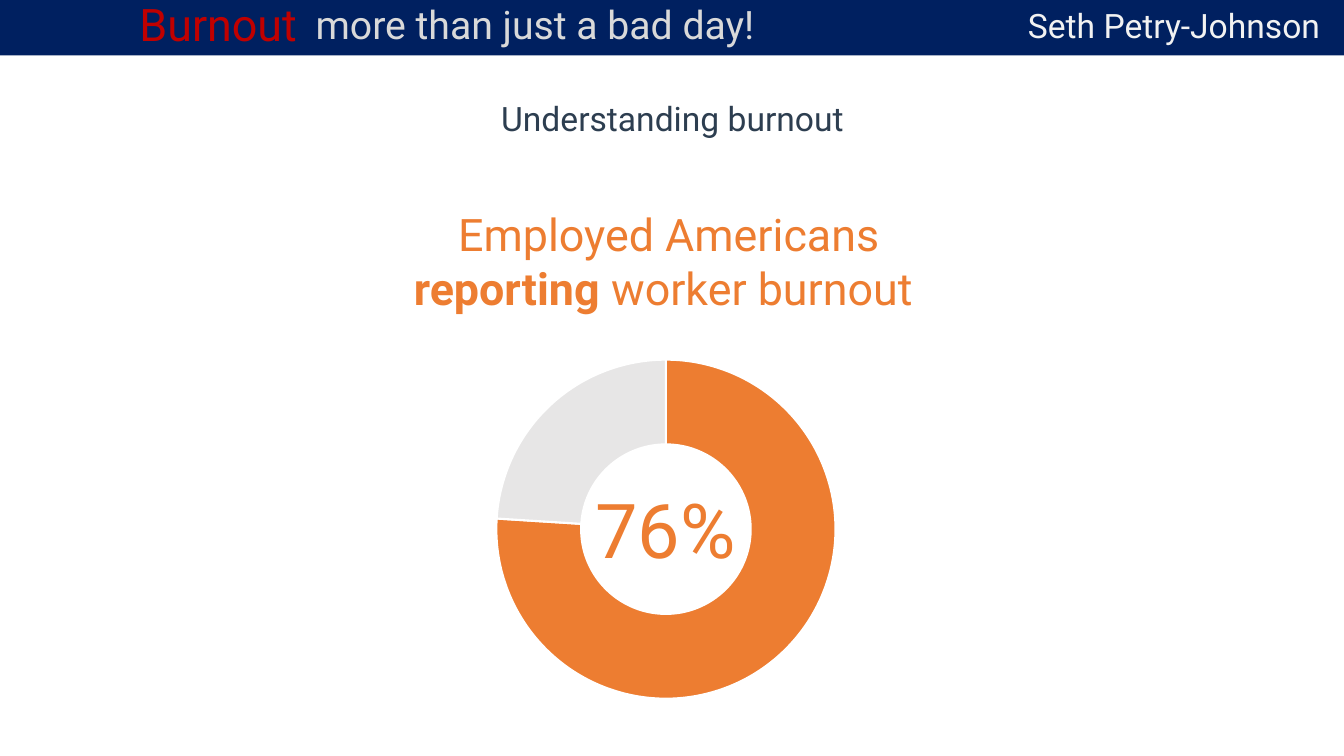
from dataclasses import dataclass

from pptx import Presentation
from pptx import util as u
from pptx.chart.data import CategoryChartData
from pptx.dml.color import RGBColor
from pptx.enum import chart as charts, shapes, text


@dataclass(frozen=True)
class Theme:
    font: str = "Roboto"
    chart_font: str = "Calibri"
    navy: str = "002060"
    slate: str = "2D3E50"
    orange: str = "ED7D31"
    red: str = "C00000"
    light_gray: str = "D9D9D9"
    off_white: str = "F2F2F2"
    remainder: str = "E7E6E6"
    white: str = "FFFFFF"
    black: str = "000000"
    chart_size: int = 10
    label: int = 24
    subtitle: int = 28
    heading: int = 32
    figure: int = 54


def paint(fill, color):
    fill.solid()
    fill.fore_color.rgb = RGBColor.from_string(color)


def style_font(font, name, size, color, bold=False):
    font.name = name
    font.size = u.Pt(size)
    font.bold = bold
    font.color.rgb = RGBColor.from_string(color)


class SlideBuilder:
    def __init__(self, slide, theme):
        self.slide = slide
        self.theme = theme

    def bar(self, box, color):
        bar = self.slide.shapes.add_shape(
            shapes.MSO_SHAPE.RECTANGLE, *map(u.Inches, box))
        bar.shadow.inherit = False
        paint(bar.fill, color)
        bar.line.fill.background()

    def text(self, lines, box, size, color):
        """Centre lines, each a string or a list of (string, bold) runs."""
        frame = self.slide.shapes.add_textbox(*map(u.Inches, box)).text_frame
        frame.word_wrap = True
        frame.auto_size = text.MSO_AUTO_SIZE.SHAPE_TO_FIT_TEXT
        paragraph = frame.paragraphs[0]
        paragraph.alignment = text.PP_ALIGN.CENTER
        for index, line in enumerate(lines):
            if index:
                paragraph.add_line_break()
            for words, bold in [(line, False)] if isinstance(line, str) else line:
                run = paragraph.add_run()
                run.text = words
                style_font(run.font, self.theme.font, size, color, bold)

    def doughnut(self, shares, box, colors, hole):
        data = CategoryChartData()
        data.categories = [str(n + 1) for n in range(len(shares))]
        data.add_series("Series 1", shares)
        chart = self.slide.shapes.add_chart(
            charts.XL_CHART_TYPE.DOUGHNUT, *map(u.Inches, box), data).chart
        chart.has_legend = False
        chart.has_title = False
        style_font(chart.font, self.theme.chart_font,
                   self.theme.chart_size, self.theme.black)
        plot = chart.plots[0]
        plot.vary_by_categories = True
        plot.has_data_labels = False
        for index, color in enumerate(colors):
            slice_format = plot.series[0].points[index].format
            paint(slice_format.fill, color)
            paint(slice_format.line.fill, self.theme.white)
            slice_format.line.width = u.Pt(1.5)
        for hole_size in chart.element.xpath(".//c:holeSize"):
            hole_size.set("val", str(hole))


def main():
    theme = Theme()
    deck = Presentation()
    deck.slide_width = u.Inches(13.33)
    deck.slide_height = u.Inches(7.5)
    page = SlideBuilder(deck.slides.add_slide(deck.slide_layouts[6]), theme)

    page.text(["Understanding burnout"], (4.67, 0.92, 4, 0.5),
              size=theme.label, color=theme.slate)

    page.bar((0, 0, 13.33, 0.55), theme.navy)
    page.text(["Seth Petry-Johnson"], (8.31, 0, 6.67, 0.5),
              size=theme.label, color=theme.off_white)
    page.text(["more than just a bad day!"], (1.97, -0.05, 6.67, 0.57),
              size=theme.subtitle, color=theme.light_gray)
    page.text(["Burnout"], (-1.17, -0.08, 6.67, 0.64),
              size=theme.heading, color=theme.red)

    page.doughnut((76, 24), (3.27, 3.43, 6.67, 3.64),
                  colors=(theme.orange, theme.remainder), hole=75)
    page.text(["Employed Americans",
               [("reporting", True), (" worker burnout ", False)]],
              (3.3, 2, 6.67, 1.18), size=theme.heading, color=theme.orange)
    page.text(["76%"], (5.41, 4.74, 2.38, 1.01),
              size=theme.figure, color=theme.orange)

    deck.save("out.pptx")


if __name__ == "__main__":
    main()
